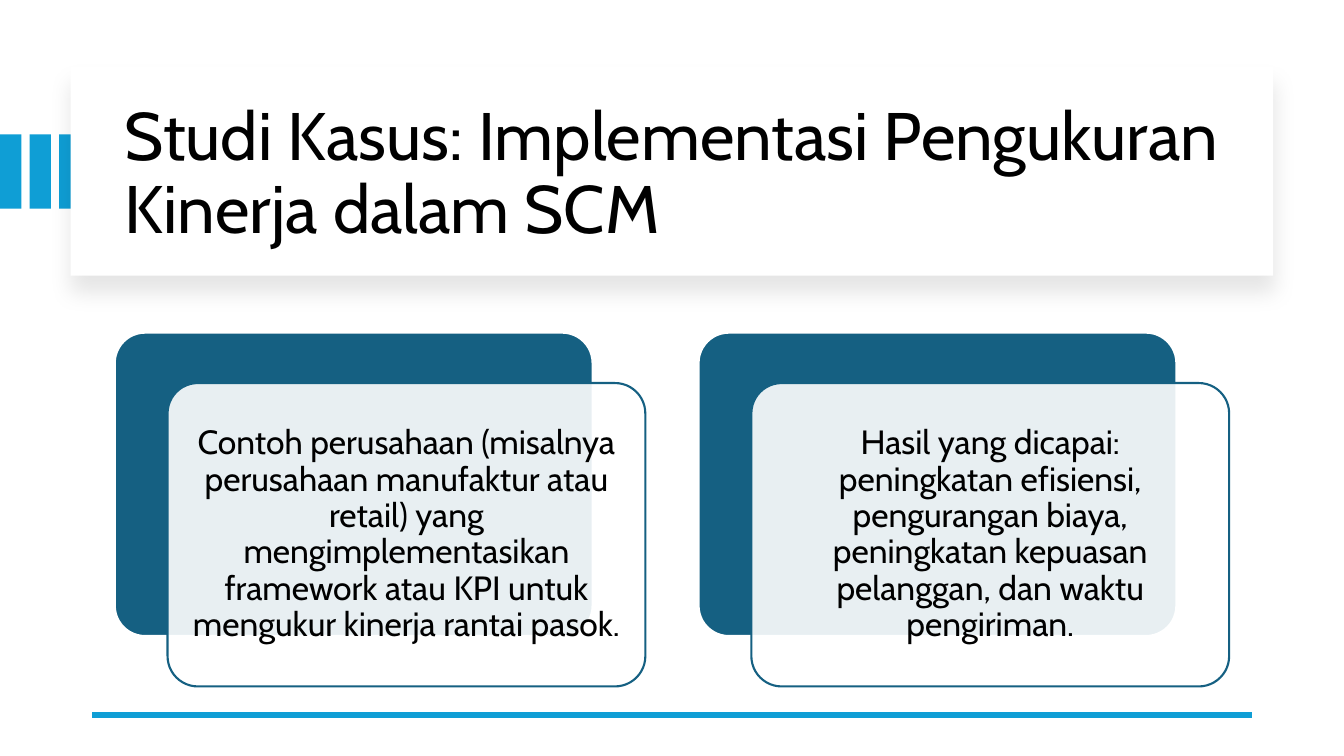
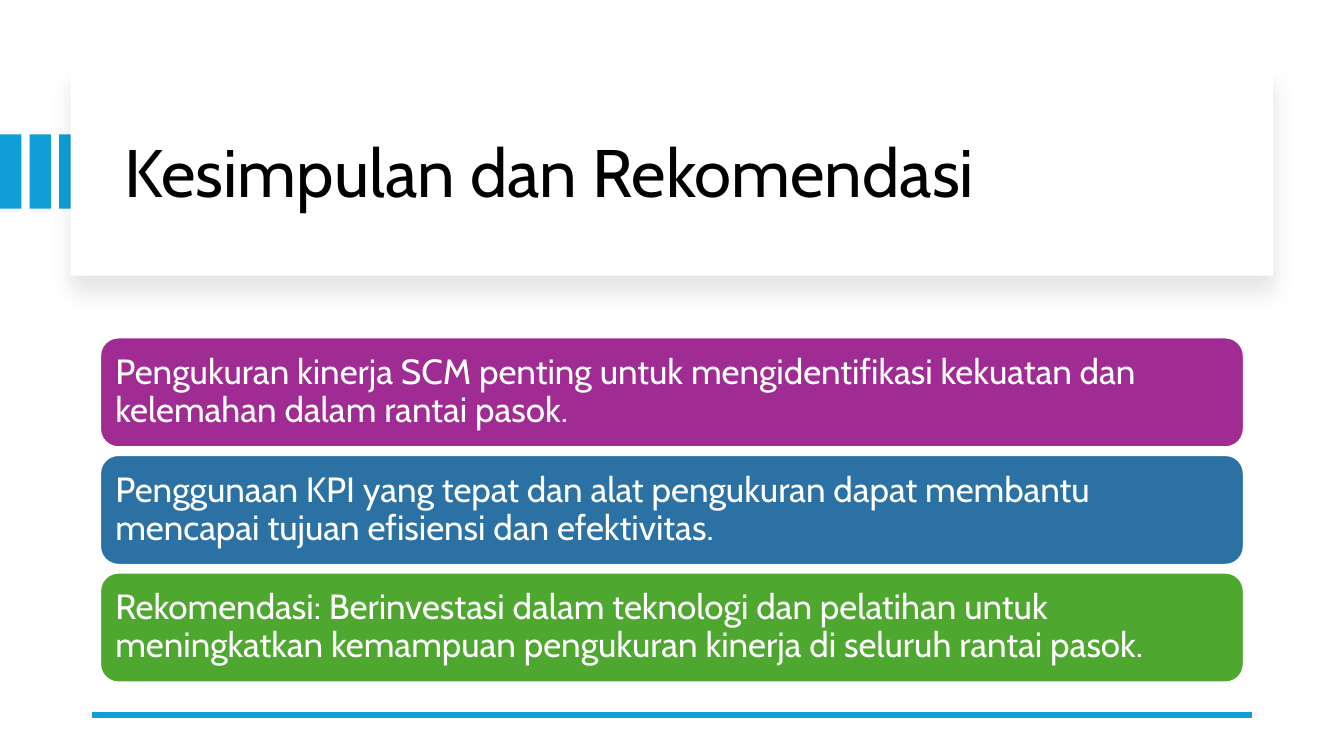
from dataclasses import dataclass

from lxml import etree
from pptx import Presentation
from pptx.dml.color import RGBColor
from pptx.enum.shapes import MSO_CONNECTOR, MSO_SHAPE
from pptx.enum.text import MSO_ANCHOR, MSO_AUTO_SIZE, PP_ALIGN
from pptx.oxml.ns import qn
from pptx.util import Pt

RECT = MSO_SHAPE.RECTANGLE
ROUND = MSO_SHAPE.ROUNDED_RECTANGLE
STRAIGHT = MSO_CONNECTOR.STRAIGHT
MIDDLE = MSO_ANCHOR.MIDDLE
NO_FIT = MSO_AUTO_SIZE.NONE
LEFT = PP_ALIGN.LEFT
CENTER = PP_ALIGN.CENTER


@dataclass(frozen=True)
class Theme:
    font: str = "Cabin"
    black: str = "000000"
    white: str = "FFFFFF"
    accent: str = "0F9ED5"
    teal: str = "156082"
    purple: str = "A02B93"
    blue: str = "2C71A4"
    green: str = "4EA72E"
    title: float = 48
    card: float = 24
    row: float = 25
    edge: float = 1.5
    rule: float = 4.5


THEME = Theme()

CARDS = [
    "Contoh perusahaan (misalnya perusahaan manufaktur atau retail) yang "
    "mengimplementasikan framework atau KPI untuk mengukur kinerja rantai pasok.",
    "Hasil yang dicapai: peningkatan efisiensi, pengurangan biaya, "
    "peningkatan kepuasan pelanggan, dan waktu pengiriman.",
]

ROWS = [
    (THEME.purple, "Pengukuran kinerja SCM penting untuk mengidentifikasi "
     "kekuatan dan kelemahan dalam rantai pasok."),
    (THEME.blue, "Penggunaan KPI yang tepat dan alat pengukuran dapat "
     "membantu mencapai tujuan efisiensi dan efektivitas."),
    (THEME.green, "Rekomendasi: Berinvestasi dalam teknologi dan pelatihan "
     "untuk meningkatkan kemampuan pengukuran kinerja di seluruh rantai pasok."),
]


def rgb(color):
    return RGBColor.from_string(color)


def add_box(slide, kind, box, fill, edge=None, round_by=None):
    shape = slide.shapes.add_shape(kind, *map(Pt, box))
    shape.shadow.inherit = False
    shape.fill.solid()
    shape.fill.fore_color.rgb = rgb(fill)
    if edge:
        shape.line.color.rgb = rgb(edge)
        shape.line.width = Pt(THEME.edge)
    else:
        shape.line.fill.background()
    if round_by is not None:
        shape.adjustments[0] = round_by
    return shape


def set_text(shape, text, size, color, align, pad=None):
    frame = shape.text_frame
    frame.text = text
    frame.word_wrap = True
    frame.auto_size = NO_FIT
    frame.vertical_anchor = MIDDLE
    if pad is not None:
        frame.margin_left = frame.margin_right = Pt(pad)
        frame.margin_top = frame.margin_bottom = Pt(pad)
    para = frame.paragraphs[0]
    para.alignment = align
    para.line_spacing = 0.9
    font = para.runs[0].font
    font.name = THEME.font
    font.size = Pt(size)
    font.color.rgb = rgb(color)


def set_alpha(color, percent):
    etree.SubElement(color, qn("a:alpha"), val=str(percent * 1000))


def fade(shape, percent):
    fill = shape.element.spPr.find(qn("a:solidFill"))
    set_alpha(fill.find(qn("a:srgbClr")), percent)


def add_shadow(shape):
    effects = shape.element.spPr.find(qn("a:effectLst"))
    shadow = etree.SubElement(
        effects, qn("a:outerShdw"), blurRad=str(Pt(15)), dist=str(Pt(11)),
        dir=str(90 * 60000), algn="t", rotWithShape="0")
    set_alpha(etree.SubElement(shadow, qn("a:srgbClr"), val=THEME.black), 10)


def add_rule(slide, left, right, top):
    rule = slide.shapes.add_connector(STRAIGHT, Pt(right), Pt(top), Pt(left), Pt(top))
    rule.line.color.rgb = rgb(THEME.accent)
    rule.line.width = Pt(THEME.rule)
    etree.SubElement(rule.element.spPr, qn("a:effectLst"))


def add_slide(deck, text):
    slide = deck.slides.add_slide(deck.slide_layouts[5])
    for i in range(3):
        add_box(slide, RECT, (21.12 * i, 96, 15.3, 53), THEME.accent)
    panel = add_box(slide, RECT, (50.4, 48, 859, 149), THEME.white)
    add_shadow(panel)
    title = slide.shapes.title
    title.left, title.top, title.width, title.height = map(Pt, (82, 64, 801.5, 122.5))
    set_text(title, text, THEME.title, THEME.black, LEFT)
    panel.element.addnext(title.element)
    add_rule(slide, 66, 894, 510.5)
    return slide


def add_card(slide, left, top, text):
    size = (341.3, 216.7)
    add_box(slide, ROUND, (left, top, *size), THEME.teal, THEME.white, 0.1)
    front = add_box(slide, ROUND, (left + 37.7, top + 36, *size),
                    THEME.white, THEME.teal, 0.1)
    fade(front, 90)
    set_text(front, text, THEME.card, THEME.black, CENTER, 7.2)


def add_row(slide, top, fill, text):
    row = add_box(slide, ROUND, (71.5, top, 817, 78.5), fill, THEME.white)
    set_text(row, text, THEME.row, THEME.white, LEFT, 7.2)


def main():
    deck = Presentation()
    deck.slide_width, deck.slide_height = Pt(960), Pt(540)

    study = add_slide(deck, "Studi Kasus: Implementasi Pengukuran Kinerja dalam SCM")
    for i, text in enumerate(CARDS):
        add_card(study, 82 + 417 * i, 237.6, text)

    closing = add_slide(deck, "Kesimpulan dan Rekomendasi")
    for i, (fill, text) in enumerate(ROWS):
        add_row(closing, 241 + 84 * i, fill, text)

    deck.save("out.pptx")


if __name__ == "__main__":
    main()
